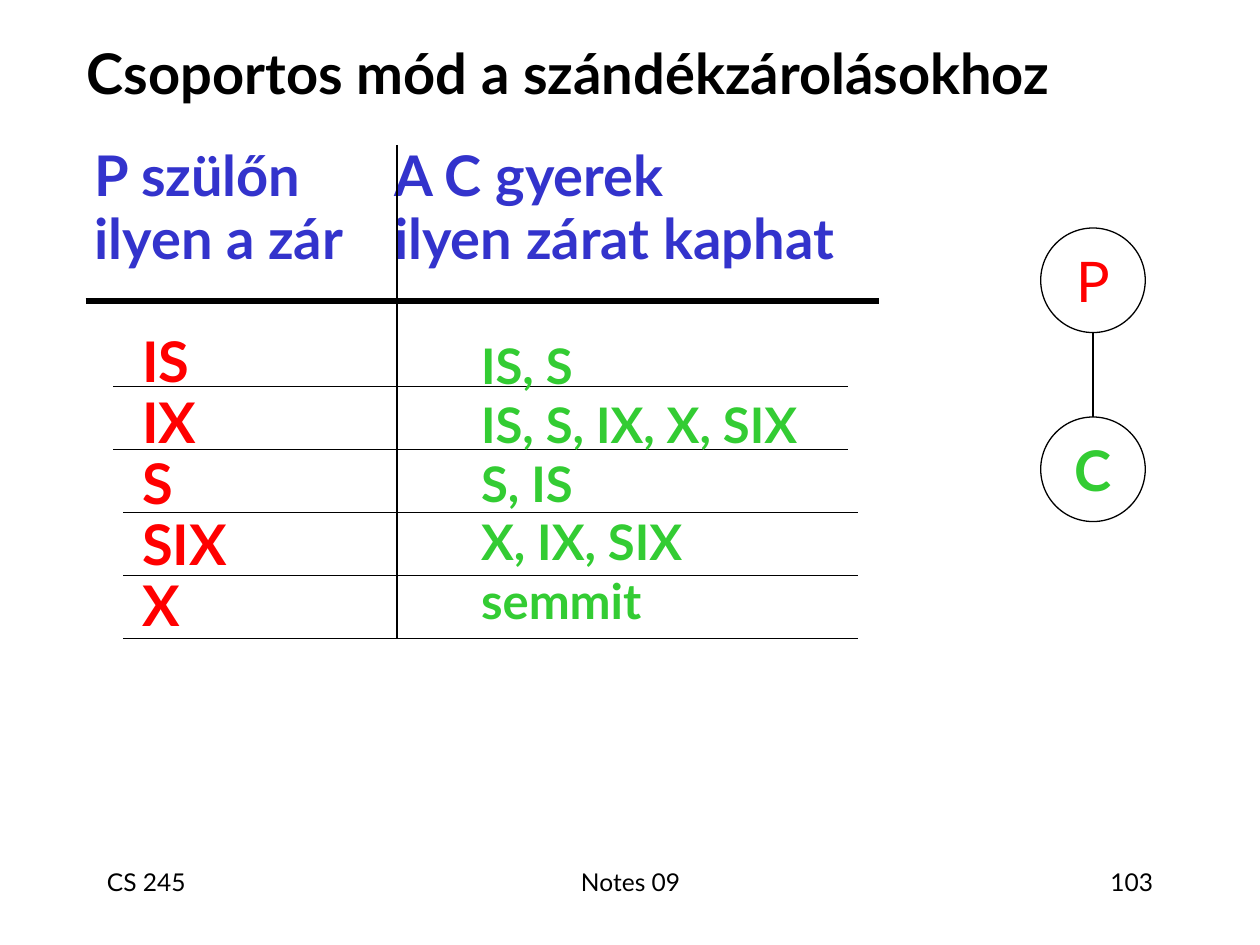
from pptx import Presentation
from pptx.dml.color import RGBColor
from pptx.enum.shapes import MSO_CONNECTOR, MSO_SHAPE
from pptx.enum.text import MSO_ANCHOR, MSO_AUTO_SIZE, PP_ALIGN
from pptx.oxml.ns import qn
from pptx.util import Inches, Pt
from lxml.etree import SubElement

FONT = "Lato"
BLACK, BLUE, RED, GREEN, WHITE = "000000", "3333CC", "FF0000", "33CC33", "FFFFFF"

TITLE = "Csoportos mód a szándékzárolásokhoz"
HEADERS = ["P szülőn\t\tA C gyerek", "ilyen a zár\tilyen zárat kaphat"]
LOCKS = [("IS", "IS, S"), ("IX", "IS, S, IX, X, SIX"), ("S", "S, IS"),
         ("SIX", "X, IX, SIX"), ("X", "semmit")]
NODES = [("P", RED, False, 1.81), ("C", GREEN, True, 3.31)]
FOOTERS = [("CS 245", 0.75, 2.08, PP_ALIGN.LEFT),
           ("Notes 09", 3.42, 3.17, PP_ALIGN.CENTER),
           ("103", 7.17, 2.08, PP_ALIGN.RIGHT)]

INDENT = 0.38
TAB_STOPS = [2, 3]
NODE_LEFT, NODE_SIZE = 8.26, 0.83
ROW_TOP, ROW_STEP, ROW_WIDTH = 3.07, 0.5, 5.83


def rgb(color):
    return RGBColor.from_string(color)


def add_run(p, text, size, color, bold=False):
    r = p.add_run()
    r.text = text
    r.font.name, r.font.size, r.font.bold = FONT, Pt(size), bold
    r.font.color.rgb = rgb(color)


def next_paragraph(tf, first):
    return tf.paragraphs[0] if first else tf.add_paragraph()


def add_box(s, left, top, width, height, wrap=True):
    tf = s.shapes.add_textbox(*map(Inches, (left, top, width, height))).text_frame
    tf.word_wrap = wrap
    return tf


def add_line(s, x1, y1, x2, y2, weight=0.75):
    line = s.shapes.add_connector(MSO_CONNECTOR.STRAIGHT, *map(Inches, (x1, y1, x2, y2)))
    line.line.color.rgb = rgb(BLACK)
    line.line.width = Pt(weight)
    SubElement(line._element.spPr, qn("a:effectLst"))


def set_indent(p, first_line, tabs=()):
    """Indent a paragraph and add left tab stops, all in inches."""
    pPr = p._p.get_or_add_pPr()
    pPr.set("marL", str(Inches(INDENT)))
    pPr.set("indent", str(Inches(first_line)))
    if tabs:
        tab_list = SubElement(pPr, qn("a:tabLst"))
        for pos in tabs:
            SubElement(tab_list, qn("a:tab"), pos=str(Inches(pos)), algn="l")


def add_parent_column(s):
    tf = add_box(s, 0.65, 1.07, 8.5, 4.5)
    for i, text in enumerate(HEADERS):
        p = next_paragraph(tf, i == 0)
        set_indent(p, -INDENT, TAB_STOPS)
        if i:
            p.space_before, p.line_spacing = Pt(8), 0.7
        add_run(p, text, 32, BLUE, True)
    for i, (lock, _) in enumerate(LOCKS):
        p = tf.add_paragraph()
        set_indent(p, 0)
        p.space_before, p.line_spacing = Pt(8 if i else 43), 0.7
        add_run(p, lock, 32, RED, True)


def add_child_column(s):
    tf = add_box(s, 3.72, 2.61, 2.92, 2.44, wrap=False)
    tf.vertical_anchor = MSO_ANCHOR.MIDDLE
    tf.auto_size = MSO_AUTO_SIZE.SHAPE_TO_FIT_TEXT
    for i, (_, allowed) in enumerate(LOCKS):
        add_run(next_paragraph(tf, i == 0), allowed, 28, GREEN, True)


def add_grid(s):
    bottom = ROW_TOP + (len(LOCKS) - 1) * ROW_STEP
    add_line(s, 3.15, 1.15, 3.15, bottom)
    for i in range(len(LOCKS)):
        left, y = 0.9 if i < 2 else 0.98, ROW_TOP + i * ROW_STEP
        add_line(s, left, y, left + ROW_WIDTH, y)
    add_line(s, 0.68, 2.39, 6.98, 2.39, 3)


def add_tree(s):
    for label, color, bold, top in NODES:
        sp = s.shapes.add_shape(MSO_SHAPE.OVAL, *map(
            Inches, (NODE_LEFT, top, NODE_SIZE, NODE_SIZE)))
        sp.shadow.inherit = False
        sp.fill.solid()
        sp.fill.fore_color.rgb = rgb(WHITE)
        sp.line.color.rgb = rgb(BLACK)
        sp.line.width = Pt(0.75)
        tf = sp.text_frame
        tf.word_wrap = False
        tf.vertical_anchor = MSO_ANCHOR.MIDDLE
        tf.paragraphs[0].alignment = PP_ALIGN.CENTER
        add_run(tf.paragraphs[0], label, 32, color, bold)
    x = NODE_LEFT + NODE_SIZE / 2
    add_line(s, x, NODES[0][3] + NODE_SIZE, x, NODES[1][3])


def add_title(s):
    title = s.shapes.title
    title.left, title.top, title.width, title.height = map(
        Inches, (0.59, 0.26, 9.19, 0.62))
    tf = title.text_frame
    tf.auto_size = MSO_AUTO_SIZE.NONE
    tf.vertical_anchor = MSO_ANCHOR.MIDDLE
    tf.paragraphs[0].alignment = PP_ALIGN.LEFT
    add_run(tf.paragraphs[0], TITLE, 32, BLACK, True)


def add_footers(s):
    for text, left, width, align in FOOTERS:
        p = add_box(s, left, 6.83, width, 0.5).paragraphs[0]
        p.alignment = align
        add_run(p, text, 14, BLACK)


def main():
    prs = Presentation()
    prs.slide_width, prs.slide_height = Inches(10), Inches(7.5)
    s = prs.slides.add_slide(prs.slide_layouts[5])
    add_title(s)
    add_parent_column(s)
    add_grid(s)
    add_tree(s)
    add_child_column(s)
    add_footers(s)
    prs.save("out.pptx")


if __name__ == "__main__":
    main()
